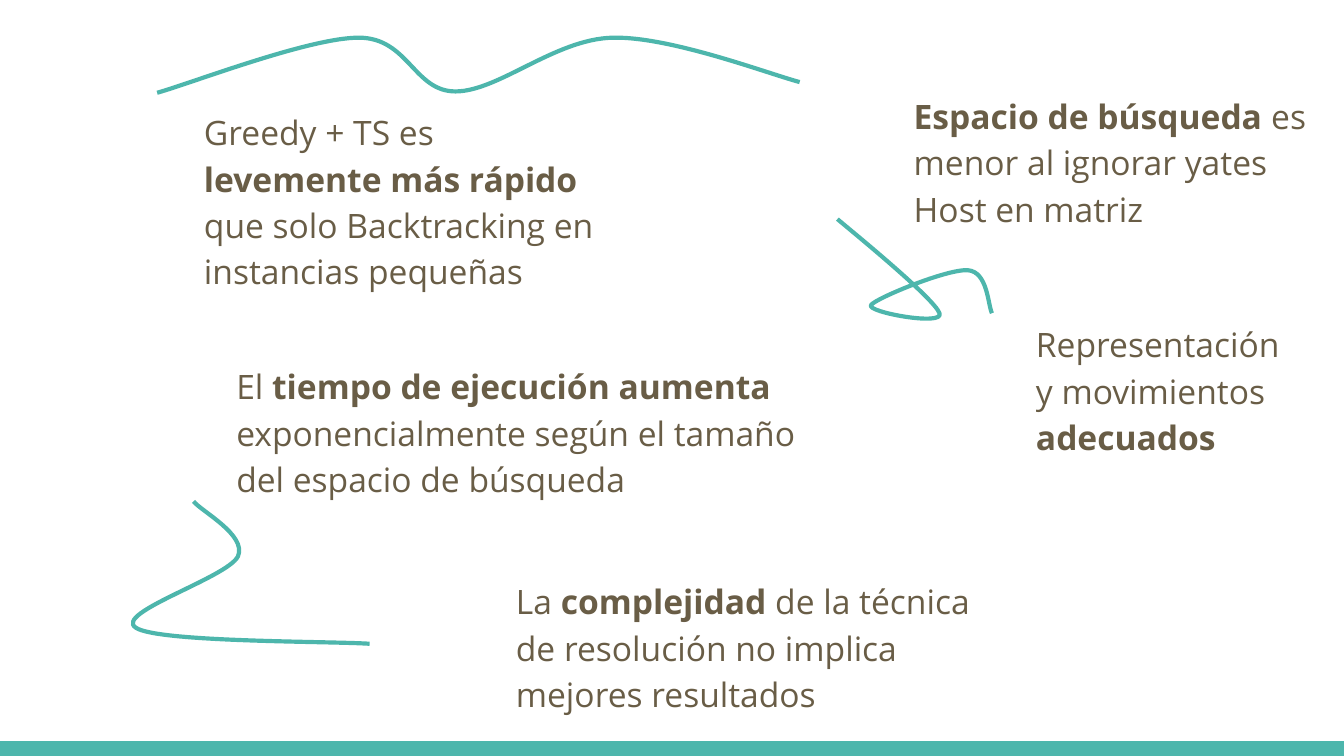
from lxml import etree
from pptx import Presentation
from pptx.dml.color import RGBColor
from pptx.enum.shapes import MSO_SHAPE
from pptx.enum.text import MSO_ANCHOR
from pptx.oxml.ns import qn
from pptx.util import Pt

TEAL = "4DB6AC"
BROWN = "695D46"
FONT = "Open Sans"
WIDTH, HEIGHT = 720, 405
BAR_HEIGHT = 7.9

CONCLUSIONS = [
    ((102.2, 49.7, 224.6, 81.4), [
        ("Greedy + TS es ", False),
        ("levemente más rápido ", True),
        ("que solo Backtracking en instancias pequeñas", False)]),
    ((482.4, 41, 224.6, 98.6), [
        ("Espacio de búsqueda", True),
        (" es menor al ignorar yates Host en matriz", False)]),
    ((547.9, 163.4, 147.6, 117.4), [
        ("Representación y movimientos ", False),
        ("adecuados", True)]),
    ((269.3, 301, 279.4, 91.4), [
        ("La ", False),
        ("complejidad", True),
        (" de la técnica de resolución no implica mejores resultados", False)]),
    ((119.5, 185.8, 321.8, 37.4), [
        ("El ", False),
        ("tiempo de ejecución aumenta ", True),
        ("exponencialmente según el tamaño del espacio de búsqueda", False)]),
]

CURVES = [
    ((448.6, 117.4), [
        (0, 0),
        (9.4, 7.9), (51.8, 42.5), (54.7, 50.4),
        (57.6, 57.6), (15.1, 49.7), (18, 46.1),
        (20.2, 42.5), (59, 26.6), (69.8, 27.4),
        (80.6, 28.1), (80.6, 46.1), (82.8, 50.4)]),
    ((70.6, 268.6), [
        (127.4, 76.3),
        (106.6, 74.9), (13.7, 75.6), (2.2, 67.7),
        (-10.1, 59.8), (51.1, 41), (56.9, 29.5),
        (61.9, 18), (36.7, 5), (33.1, 0)]),
    ((84.2, 20.2), [
        (0, 29.5),
        (18, 24.5), (81.4, 0), (108, 0),
        (134.6, 0), (137.5, 28.8), (159.8, 28.8),
        (182.9, 28.8), (213.1, 0.7), (244.1, 0),
        (275, -0.7), (327.6, 19.4), (344.2, 23.8)]),
]


def color(value):
    """Turn a hex string into a colour."""
    return RGBColor.from_string(value)


def add_bar(slide, left, top, width, height):
    """Add the teal strip along the bottom edge."""
    bar = slide.shapes.add_shape(
        MSO_SHAPE.RECTANGLE, Pt(left), Pt(top), Pt(width), Pt(height))
    bar.shadow.inherit = False
    bar.fill.solid()
    bar.fill.fore_color.rgb = color(TEAL)
    bar.line.fill.background()


def add_conclusion(slide, box, runs):
    """Add one conclusion as a paragraph of plain and bold runs."""
    text_box = slide.shapes.add_textbox(*(Pt(length) for length in box))
    frame = text_box.text_frame
    frame.word_wrap = True
    frame.vertical_anchor = MSO_ANCHOR.TOP
    frame.margin_left = frame.margin_right = Pt(7.2)
    frame.margin_top = frame.margin_bottom = Pt(7.2)
    paragraph = frame.paragraphs[0]
    paragraph.line_spacing = 1.15
    paragraph.space_after = Pt(16)
    for text, bold in runs:
        run = paragraph.add_run()
        run.text = text
        run.font.name = FONT
        run.font.size = Pt(18)
        run.font.bold = bold
        run.font.color.rgb = color(BROWN)


def add_curve(slide, origin, points):
    """Add an open Bézier curve: a start, then three points per segment."""
    left, top = origin
    start, *controls = [(Pt(left + x), Pt(top + y)) for x, y in points]
    builder = slide.shapes.build_freeform(*start)
    builder.add_line_segments(controls, close=False)
    curve = builder.convert_to_shape()
    curve.shadow.inherit = False
    curve.fill.background()
    curve.line.color.rgb = color(TEAL)
    curve.line.width = Pt(2.25)
    outline = next(curve.element.iter(qn("a:path")))
    steps = outline.findall(qn("a:lnTo"))
    for index in range(0, len(steps), 3):
        bezier = etree.SubElement(outline, qn("a:cubicBezTo"))
        for step in steps[index:index + 3]:
            bezier.append(step[0])
            outline.remove(step)


def main():
    """Build and save the conclusions slide."""
    presentation = Presentation()
    presentation.slide_width = Pt(WIDTH)
    presentation.slide_height = Pt(HEIGHT)
    slide = presentation.slides.add_slide(presentation.slide_layouts[6])
    add_bar(slide, 0, HEIGHT - BAR_HEIGHT, WIDTH, BAR_HEIGHT)
    for box, runs in CONCLUSIONS:
        add_conclusion(slide, box, runs)
    for origin, points in CURVES:
        add_curve(slide, origin, points)
    presentation.save("out.pptx")


if __name__ == "__main__":
    main()
